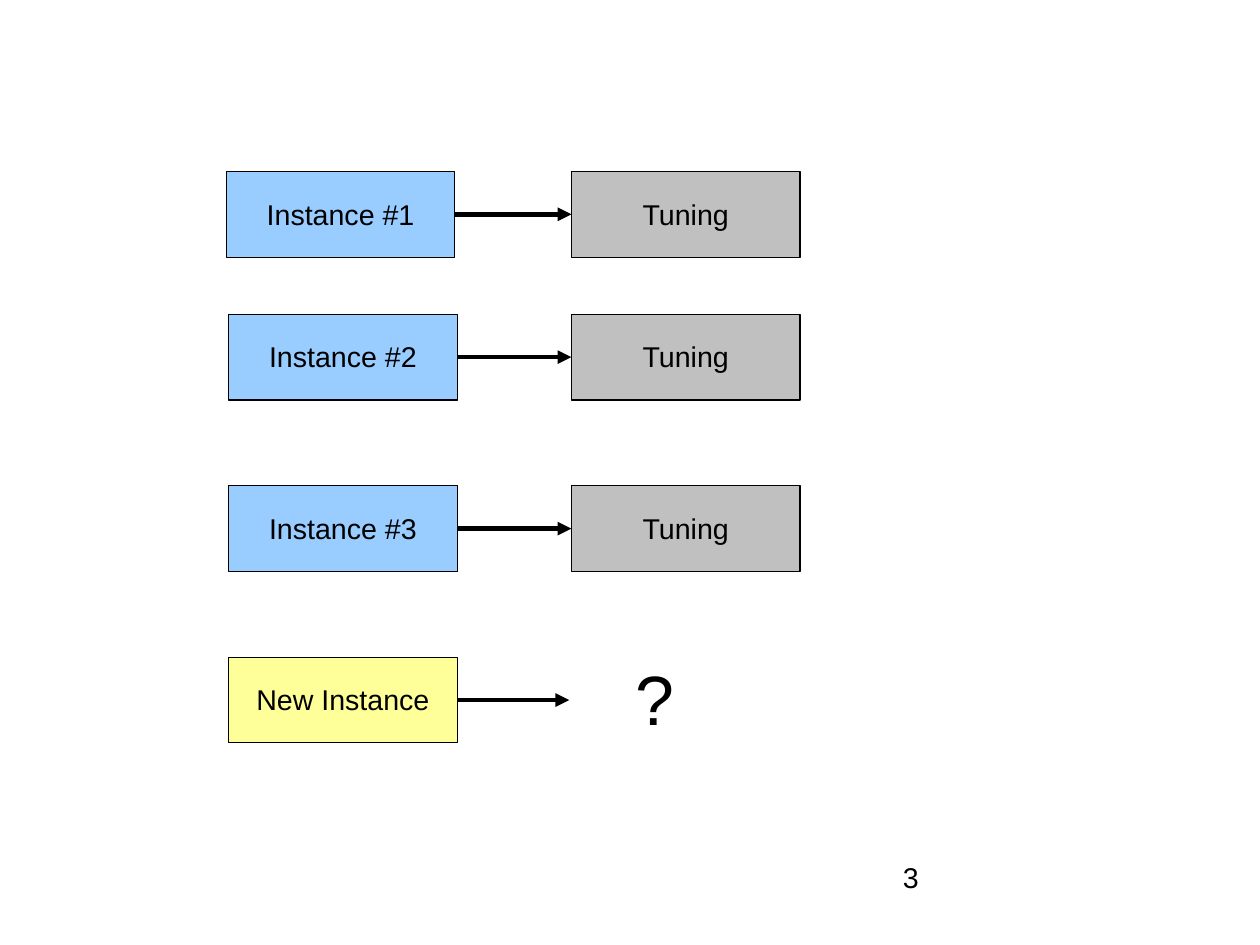
from dataclasses import dataclass

from lxml.etree import SubElement
from pptx import Presentation
from pptx.dml.color import RGBColor
from pptx.enum.shapes import MSO_CONNECTOR, MSO_SHAPE
from pptx.enum.text import MSO_ANCHOR, PP_ALIGN
from pptx.oxml.ns import qn
from pptx.shapes.autoshape import Shape
from pptx.slide import Slide
from pptx.util import Cm, Emu, Pt

EMU_PER_PX = 9144  # 100 px to the inch
SLIDE_WIDTH, SLIDE_HEIGHT = Cm(28), Cm(21)
FONT = "Arial"
BLACK, BLUE, YELLOW, GREY = "000000", "99CCFF", "FFFF99", "C0C0C0"
BOX_WIDTH, BOX_HEIGHT = 200, 75
TUNING_LEFT = 500
LEFT_SITE, RIGHT_SITE = 1, 3


@dataclass
class InstanceRow:
    label: str
    left: int
    top: int
    fill: str
    tuned: bool = True


ROWS = [
    InstanceRow("Instance #1", 198, 150, BLUE),
    InstanceRow("Instance #2", 200, 275, BLUE),
    InstanceRow("Instance #3", 200, 425, BLUE),
    InstanceRow("New Instance", 200, 575, YELLOW, tuned=False),
]


def px(length: int) -> Emu:
    return Emu(length * EMU_PER_PX)


def color(value: str) -> RGBColor:
    return RGBColor.from_string(value)


def set_text(shape: Shape, text: str, size: int, align: PP_ALIGN,
             margins: tuple[int, int, int, int], wrap: bool) -> None:
    frame = shape.text_frame
    frame.text = text
    frame.word_wrap = wrap
    (frame.margin_left, frame.margin_top,
     frame.margin_right, frame.margin_bottom) = map(px, margins)
    paragraph = frame.paragraphs[0]
    paragraph.alignment = align
    paragraph.line_spacing = 0.93
    font = paragraph.runs[0].font
    font.name, font.size = FONT, Pt(size)
    font.color.rgb = color(BLACK)


def add_box(slide: Slide, text: str, left: int, top: int, fill: str) -> Shape:
    box = slide.shapes.add_shape(
        MSO_SHAPE.RECTANGLE, px(left), px(top), px(BOX_WIDTH), px(BOX_HEIGHT))
    box.shadow.inherit = False
    box.fill.solid()
    box.fill.fore_color.rgb = color(fill)
    box.line.color.rgb = color(BLACK)
    box.line.width = Pt(0.75)
    set_text(box, text, 18, PP_ALIGN.CENTER, (10, 7, 10, 5), wrap=False)
    box.text_frame.vertical_anchor = MSO_ANCHOR.MIDDLE
    return box


def add_arrow(slide: Slide, instance: Shape, tuning: Shape | None) -> None:
    """Run from the tuning side, which carries the arrowhead, to the instance."""
    middle = instance.top + instance.height // 2
    arrow = slide.shapes.add_connector(
        MSO_CONNECTOR.ELBOW, px(TUNING_LEFT - 2), middle,
        instance.left + instance.width, middle)
    arrow.end_connect(instance, RIGHT_SITE)
    if tuning is not None:
        arrow.begin_connect(tuning, LEFT_SITE)
    arrow.line.color.rgb = color(BLACK)
    arrow.line.width = Pt(2.89)
    SubElement(arrow.line._get_or_add_ln(), qn("a:headEnd"), type="triangle")
    SubElement(arrow._element.spPr, qn("a:effectLst"))


def add_label(slide: Slide, text: str, size: int, left: int, top: int,
              width: int, height: int, margins: tuple[int, int, int, int],
              wrap: bool) -> None:
    label = slide.shapes.add_textbox(px(left), px(top), px(width), px(height))
    set_text(label, text, size, PP_ALIGN.LEFT, margins, wrap)


def main() -> None:
    presentation = Presentation()
    presentation.slide_width = SLIDE_WIDTH
    presentation.slide_height = SLIDE_HEIGHT
    slide = presentation.slides.add_slide(presentation.slide_layouts[6])

    # Instances, each with an arrow to its tuning
    for row in ROWS:
        instance = add_box(slide, row.label, row.left, row.top, row.fill)
        tuning = None
        if row.tuned:
            tuning = add_box(slide, "Tuning", TUNING_LEFT, row.top, GREY)
        add_arrow(slide, instance, tuning)

    # Unknown tuning of the new instance
    add_label(slide, "?", 44, 546, 575, 54, 78, (10, 5, 10, 5), wrap=False)

    # Page number
    add_label(slide, "3", 18, 790, 753, 255, 55, (0, 2, 0, 0), wrap=True)

    presentation.save("out.pptx")


if __name__ == "__main__":
    main()
